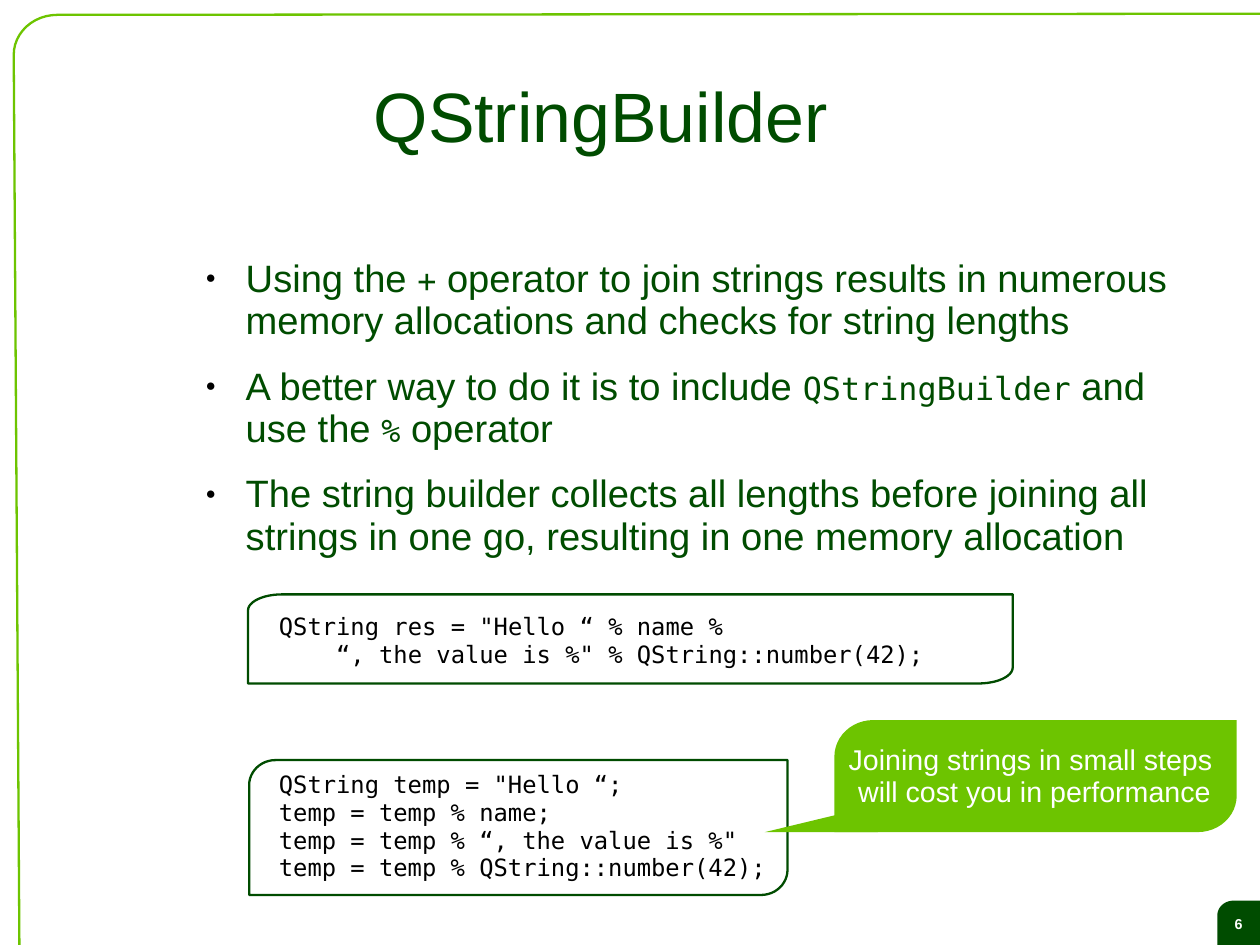
from math import cos, pi, sin

from pptx import Presentation
from pptx.dml.color import RGBColor
from pptx.enum.text import MSO_ANCHOR, MSO_AUTO_SIZE, PP_ALIGN
from pptx.oxml.ns import qn
from pptx.util import Cm, Inches, Pt
from lxml import etree

LEFT, CENTER = PP_ALIGN.LEFT, PP_ALIGN.CENTER
TOP, MIDDLE = MSO_ANCHOR.TOP, MSO_ANCHOR.MIDDLE
DARK_GREEN = RGBColor(0x00, 0x4C, 0x00)
LIME = RGBColor(0x6D, 0xC4, 0x00)
BLACK = RGBColor(0x00, 0x00, 0x00)
WHITE = RGBColor(0xFF, 0xFF, 0xFF)
SANS, MONO = "Arial", "DejaVu Sans Mono"
SLIDE_WIDTH, SLIDE_HEIGHT = Cm(28), Cm(21)
RIGHT_EDGE, BOTTOM_EDGE = SLIDE_WIDTH.inches, SLIDE_HEIGHT.inches

TITLE = "QStringBuilder"
# Backticks mark inline code
POINTS = [
    "Using the `+` operator to join strings results in numerous memory "
    "allocations and checks for string lengths",
    "A better way to do it is to include `QStringBuilder` and use the `%` operator",
    "The string builder collects all lengths before joining all strings in one go, "
    "resulting in one memory allocation",
]
ONE_GO_CODE = [
    'QString res = "Hello “ % name %',
    '    “, the value is %" % QString::number(42);',
]
SMALL_STEPS_CODE = [
    'QString temp = "Hello “;',
    "temp = temp % name;",
    'temp = temp % “, the value is %"',
    "temp = temp % QString::number(42);",
]
WARNING = ["Joining strings in small steps ", "will cost you in performance"]
PAGE_NUMBER = ["6"]

# left, top, width, height, corner width, corner height
ONE_GO_BOX = (2.17, 5.2, 6.69, 0.78, 0.3, 0.14)
SMALL_STEPS_BOX = (2.18, 6.65, 4.71, 1.18, 0.23, 0.22)
WARNING_BOX = (7.3, 6.3, 3.52, 0.98, 0.34, 0.32)
WARNING_TAIL = [(7.48, 7.09), (6.69, 7.28), (7.68, 7.28)]
BADGE = (10.65, 7.88, RIGHT_EDGE - 10.65, BOTTOM_EDGE - 7.88, 0.14, 0.13)


def add_bullet(para):
    properties = para._p.get_or_add_pPr()
    properties.set("marL", str(Inches(0.47)))
    properties.set("indent", str(Inches(-0.35)))
    color = etree.SubElement(properties, qn("a:buClr"))
    etree.SubElement(color, qn("a:srgbClr"), val=str(BLACK))
    etree.SubElement(properties, qn("a:buSzPct"), val="45000")
    etree.SubElement(properties, qn("a:buFont"), typeface=SANS)
    etree.SubElement(properties, qn("a:buChar"), char="●")


def write(frame, lines, size, color, font=SANS, bold=False, align=LEFT, anchor=TOP,
          insets=(0, 0, 0, 0), spacing=0.93, after=0, bullets=False):
    frame.word_wrap = True
    frame.auto_size = MSO_AUTO_SIZE.NONE
    frame.vertical_anchor = anchor
    (frame.margin_left, frame.margin_top,
     frame.margin_right, frame.margin_bottom) = map(Inches, insets)
    for index, line in enumerate(lines):
        para = frame.paragraphs[0] if index == 0 else frame.add_paragraph()
        if bullets:
            add_bullet(para)
        para.alignment = align
        para.line_spacing = spacing
        para.space_before = Pt(0)
        para.space_after = Pt(after)
        for position, piece in enumerate(line.split("`")):
            is_code = position % 2 == 1
            span = para.add_run()
            span.text = piece
            span.font.name = MONO if is_code else font
            span.font.size = Pt(size - 4 if is_code else size)
            span.font.bold = bold
            span.font.color.rgb = color


def arc(center_x, center_y, radius_x, radius_y, start, steps=12):
    """Points of a quarter ellipse, clockwise on the slide from the start angle."""
    angles = [start + pi / 2 * step / steps for step in range(steps + 1)]
    return [(center_x + radius_x * cos(a), center_y + radius_y * sin(a)) for a in angles]


def add_outline(slide, points, fill=None, line=None, close=True):
    corners = [(Inches(x), Inches(y)) for x, y in points]
    builder = slide.shapes.build_freeform(*corners[0])
    builder.add_line_segments(corners[1:], close=close)
    shape = builder.convert_to_shape()
    shape.shadow.inherit = False
    if fill is None:
        shape.fill.background()
    else:
        shape.fill.solid()
        shape.fill.fore_color.rgb = fill
    if line is None:
        shape.line.fill.background()
    else:
        shape.line.color.rgb = line
        shape.line.width = Pt(1.45)
    return shape


def add_leaf(slide, box, round_end=True, **colors):
    """A rectangle rounded at top left and, if asked, at bottom right."""
    left, top, width, height, corner_x, corner_y = box
    right, bottom = left + width, top + height
    points = arc(left + corner_x, top + corner_y, corner_x, corner_y, pi)
    points.append((right, top))
    if round_end:
        points += arc(right - corner_x, bottom - corner_y, corner_x, corner_y, 0)
    else:
        points.append((right, bottom))
    points.append((left, bottom))
    return add_outline(slide, points, **colors)


def main():
    deck = Presentation()
    deck.slide_width, deck.slide_height = SLIDE_WIDTH, SLIDE_HEIGHT
    slide = deck.slides.add_slide(deck.slide_layouts[5])

    title = slide.shapes.title
    title.left, title.top, title.width, title.height = map(
        Inches, (1.68, 0.33, 7.16, 1.38))
    write(title.text_frame, [TITLE], 44, DARK_GREEN, align=CENTER, anchor=MIDDLE,
          insets=(0, 0.04, 0, 0))

    page_frame = [(0.17, BOTTOM_EDGE), *arc(0.5, 0.48, 0.38, 0.35, pi),
                  (RIGHT_EDGE, 0.12)]
    add_outline(slide, page_frame, line=LIME, close=False)
    badge = add_leaf(slide, BADGE, round_end=False, fill=DARK_GREEN)
    write(badge.text_frame, PAGE_NUMBER, 9, WHITE, bold=True, align=CENTER,
          anchor=MIDDLE, insets=(0, 0.03, 0, 0))

    body = slide.shapes.add_textbox(*map(Inches, (1.68, 2.24, 8.79, 2.8)))
    write(body.text_frame, POINTS, 24, DARK_GREEN, insets=(0, 0.02, 0, 0),
          after=14.3, bullets=True)

    for box, code, inset_top in ((ONE_GO_BOX, ONE_GO_CODE, 0.17),
                                 (SMALL_STEPS_BOX, SMALL_STEPS_CODE, 0.1)):
        code_box = add_leaf(slide, box, line=DARK_GREEN)
        write(code_box.text_frame, code, 15, BLACK, font=MONO, spacing=0.97,
              insets=(2.44 - box[0], inset_top, 0, 0))

    warning = add_leaf(slide, WARNING_BOX, fill=LIME)
    write(warning.text_frame, WARNING, 18, WHITE, align=CENTER, anchor=MIDDLE,
          insets=(0.09, 0.08, 0.11, 0.06))
    add_outline(slide, WARNING_TAIL, fill=LIME)

    deck.save("out.pptx")


if __name__ == "__main__":
    main()
